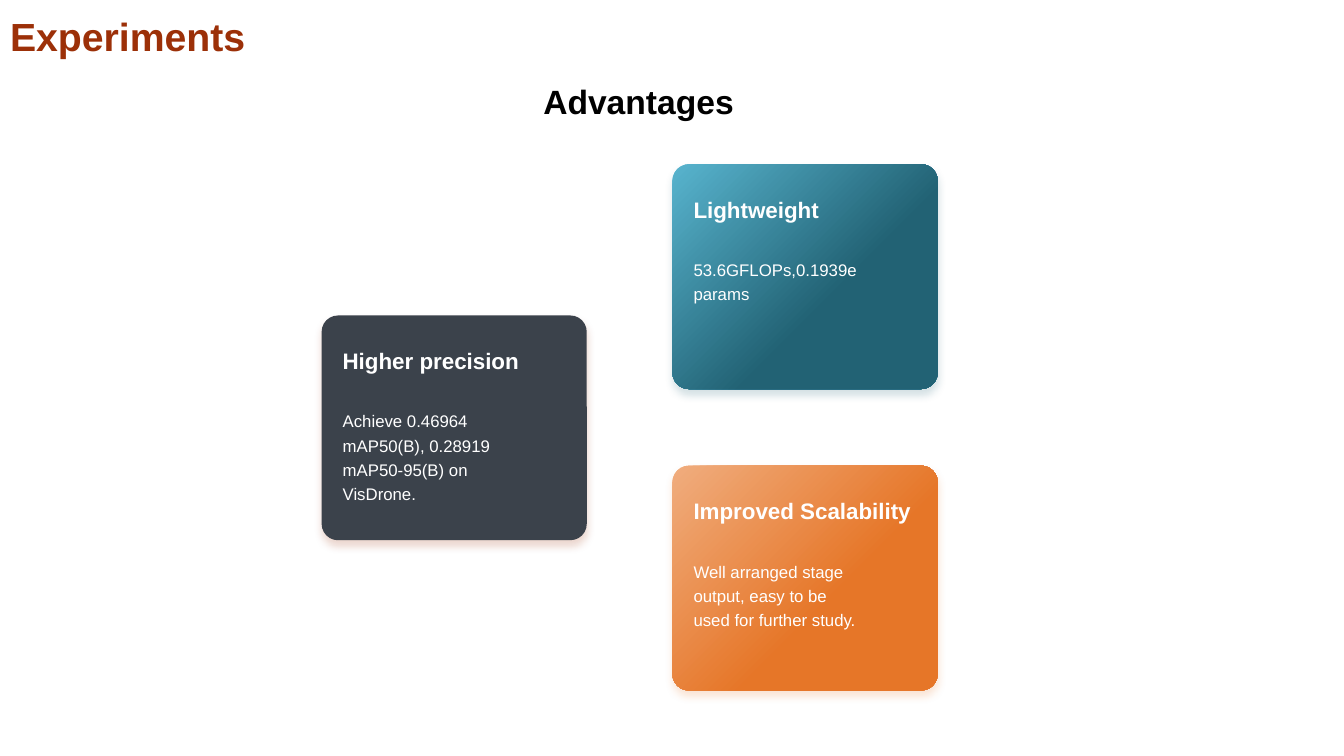
from lxml import etree
from pptx import Presentation
from pptx.dml.color import RGBColor
from pptx.enum.shapes import MSO_SHAPE
from pptx.enum.text import MSO_ANCHOR, MSO_AUTO_SIZE, PP_ALIGN
from pptx.oxml.ns import qn
from pptx.util import Inches, Pt

ROUNDED = MSO_SHAPE.ROUNDED_RECTANGLE
BOTTOM, TOP = MSO_ANCHOR.BOTTOM, MSO_ANCHOR.TOP
GROW, FIXED = MSO_AUTO_SIZE.SHAPE_TO_FIT_TEXT, MSO_AUTO_SIZE.NONE
LEFT = PP_ALIGN.LEFT

TITLE = "Experiments"
SUBTITLE = "Advantages"
CARDS = [
    {"left": 3.19, "top": 3.13, "colors": ["3B424B"], "shadow": "9C3008",
     "heading": "Higher precision", "body_height": 1.05,
     "body": "Achieve 0.46964 mAP50(B), 0.28919 mAP50-95(B) on VisDrone."},
    {"left": 6.67, "top": 1.63, "colors": ["58B4CE", "226274"], "shadow": "226274",
     "heading": "Lightweight", "body_height": 0.56,
     "body": "53.6GFLOPs,0.1939e params"},
    {"left": 6.67, "top": 4.62, "colors": ["F0AD7E", "E67628"], "shadow": "E67628",
     "heading": "Improved Scalability", "body_height": 0.81,
     "body": "Well arranged stage output, easy to be used for further study."},
]
CARD_W, CARD_H = 2.63, 2.23
STOPS = [0, 0.6]

TITLE_FONT = {"size": Pt(28), "bold": True, "color": "9C3008"}
SUBTITLE_FONT = {"size": Pt(24), "bold": True, "color": "000000"}
HEADING_FONT = {"size": Pt(16), "bold": True, "color": "FFFFFF"}
BODY_FONT = {"size": Pt(12), "bold": False, "color": "FFFFFF"}


def rgb(value):
    return RGBColor.from_string(value)


def place(sp, left, top, width, height):
    sp.left, sp.top = Inches(left), Inches(top)
    sp.width, sp.height = Inches(width), Inches(height)


def write(sp, text, font, spacing=None, **frame):
    tf = sp.text_frame
    for name, value in frame.items():
        setattr(tf, name, value)
    p = tf.paragraphs[0]
    p.alignment = LEFT
    p.line_spacing = spacing
    r = p.add_run()
    r.text = text
    r.font.name = "Arial"
    for name, value in font.items():
        if name == "color":
            r.font.color.rgb = rgb(value)
        else:
            setattr(r.font, name, value)


def add_text(slide, box, text, font, **options):
    sp = slide.shapes.add_textbox(*[Inches(v) for v in box])
    write(sp, text, font, **options)


def add_shadow(sp, color):
    sp.shadow.inherit = False
    effects = sp._element.spPr.find(qn("a:effectLst"))
    shadow = etree.SubElement(effects, qn("a:outerShdw"), blurRad=str(Pt(6)),
                              dist=str(Pt(4)), dir="5400000", algn="t",
                              rotWithShape="0")
    clr = etree.SubElement(shadow, qn("a:srgbClr"), val=color)
    etree.SubElement(clr, qn("a:alpha"), val="20000")


def fill_card(sp, colors):
    if len(colors) == 1:
        sp.fill.solid()
        sp.fill.fore_color.rgb = rgb(colors[0])
        return
    sp.fill.gradient()
    sp.fill.gradient_angle = 315
    for stop, color, position in zip(sp.fill.gradient_stops, colors, STOPS):
        stop.color.rgb = rgb(color)
        stop.position = position


def add_card(slide, card):
    left, top = card["left"], card["top"]
    sp = slide.shapes.add_shape(ROUNDED, 0, 0, 0, 0)
    place(sp, left, top, CARD_W, CARD_H)
    sp.adjustments[0] = 0.073
    fill_card(sp, card["colors"])
    sp.line.fill.background()
    add_shadow(sp, card["shadow"])
    text_left = left + 0.11
    add_text(slide, (text_left, top + 0.86, 1.82, card["body_height"]),
             card["body"], BODY_FONT, spacing=1.2, word_wrap=True,
             auto_size=GROW, vertical_anchor=TOP)
    add_text(slide, (text_left, top + 0.26, 2.31, 0.37),
             card["heading"], HEADING_FONT, word_wrap=False,
             auto_size=FIXED, vertical_anchor=BOTTOM)


def main():
    prs = Presentation()
    prs.slide_width, prs.slide_height = Inches(13.33), Inches(7.5)
    slide = prs.slides.add_slide(prs.slide_layouts[5])
    title = slide.shapes.title
    place(title, 0, -0.48, 11.88, 1.12)
    write(title, TITLE, TITLE_FONT, word_wrap=True, auto_size=FIXED,
          vertical_anchor=BOTTOM)
    for card in CARDS:
        add_card(slide, card)
    add_text(slide, (5.29, 0.75, 4.2, 0.5), SUBTITLE, SUBTITLE_FONT,
             word_wrap=True, auto_size=GROW, vertical_anchor=TOP)
    prs.save("out.pptx")


if __name__ == "__main__":
    main()
